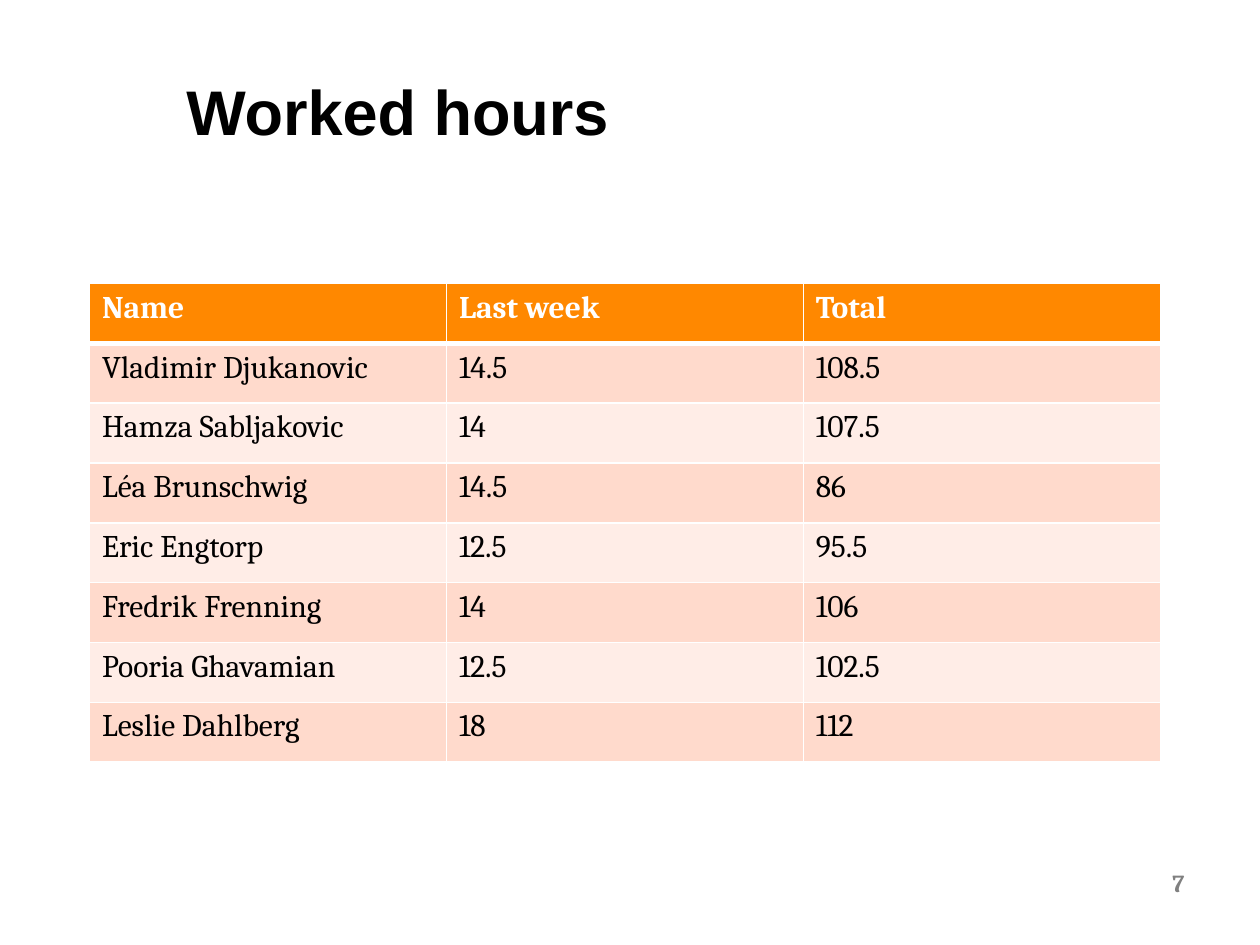
from lxml.etree import SubElement
from pptx import Presentation
from pptx.dml.color import RGBColor
from pptx.enum.text import MSO_ANCHOR, PP_ALIGN
from pptx.oxml.ns import qn
from pptx.util import Inches, Pt

COLORS = {
    "text": "000000",
    "header": "FF8800",
    "band_dark": "FFDACC",
    "band_light": "FFEDE7",
    "white": "FFFFFF",
    "number": "808080",
}

HOURS = [
    ("Name", "Last week", "Total"),
    ("Vladimir Djukanovic", "14.5", "108.5"),
    ("Hamza Sabljakovic", "14", "107.5"),
    ("Léa Brunschwig", "14.5", "86"),
    ("Eric Engtorp", "12.5", "95.5"),
    ("Fredrik Frenning", "14", "106"),
    ("Pooria Ghavamian", "12.5", "102.5"),
    ("Leslie Dahlberg", "18", "112"),
]


def rgb(name):
    return RGBColor.from_string(COLORS[name])


def inches(*lengths):
    return [Inches(n) for n in lengths]


def set_font(p, name, size, color, bold=False):
    p.font.name = name
    p.font.size = Pt(size)
    p.font.bold = bold
    p.font.color.rgb = rgb(color)


def add_title(slide, text):
    s = slide.shapes.title
    s.left, s.top, s.width, s.height = inches(1.38, 0.57, 7.17, 1.4)
    tf = s.text_frame
    tf.text = text
    tf.vertical_anchor = MSO_ANCHOR.TOP
    p = tf.paragraphs[0]
    p.alignment = PP_ALIGN.LEFT
    p.line_spacing = Pt(40)
    set_font(p, "Arial", 36, "text", bold=True)


def add_page_number(slide, number):
    tf = slide.shapes.add_textbox(*inches(8.62, 6.87, 0.88, 0.27)).text_frame
    tf.word_wrap = True
    tf.vertical_anchor = MSO_ANCHOR.MIDDLE
    p = tf.paragraphs[0]
    p.text = number
    p.alignment = PP_ALIGN.RIGHT
    set_font(p, "Cambria", 14, "number", bold=True)


def set_borders(cell, top=1, bottom=1):
    """Draw white cell borders; widths are in points."""
    tc_pr = cell._tc.get_or_add_tcPr()
    widths = {"a:lnL": 1, "a:lnR": 1, "a:lnT": top, "a:lnB": bottom}
    for tag, width in widths.items():
        ln = SubElement(tc_pr, qn(tag), w=str(Pt(width)))
        fill = SubElement(ln, qn("a:solidFill"))
        SubElement(fill, qn("a:srgbClr"), val=COLORS["white"])


def format_cell(cell, text, row):
    header = row == 0
    # Borders come before the fill in the cell properties
    set_borders(cell, top=3 if row == 1 else 1, bottom=3 if header else 1)
    band = "band_dark" if row % 2 else "band_light"
    cell.fill.solid()
    cell.fill.fore_color.rgb = rgb("header" if header else band)
    cell.text = text
    set_font(cell.text_frame.paragraphs[0], "Cambria", 18,
             "white" if header else "text", bold=header)


def add_hours_table(slide, rows):
    table = slide.shapes.add_table(
        len(rows), len(rows[0]), *inches(0.71, 2.25, 8.5, 3.8)).table
    for i, values in enumerate(rows):
        for j, value in enumerate(values):
            format_cell(table.cell(i, j), value, i)


def main():
    prs = Presentation()
    prs.slide_width, prs.slide_height = inches(10, 7.5)
    slide = prs.slides.add_slide(prs.slide_layouts[5])  # Title Only

    add_title(slide, "Worked hours")
    add_page_number(slide, "7")
    add_hours_table(slide, HOURS)

    prs.save("out.pptx")


if __name__ == "__main__":
    main()
